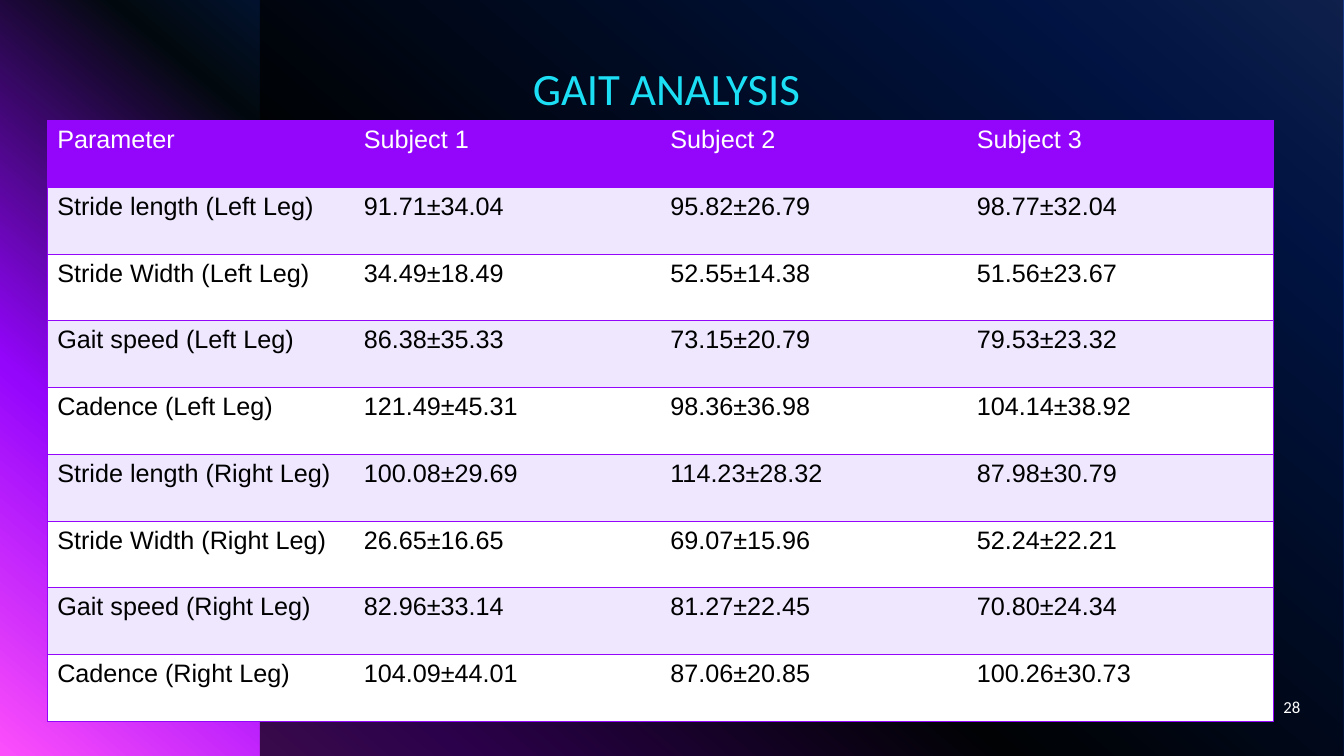
from lxml.etree import SubElement
from pptx import Presentation
from pptx.dml.color import RGBColor
from pptx.enum.shapes import MSO_SHAPE
from pptx.enum.text import MSO_ANCHOR, PP_ALIGN
from pptx.oxml import parse_xml
from pptx.oxml.ns import nsdecls, qn
from pptx.util import Cm, Pt

PURPLE, LILAC, WHITE, BLACK = "9405FC", "EEE7FE", "FFFFFF", "000000"
BACKGROUND_STOPS = [(0, "316CFC"), (14, "0343DF"), (55, "02090E"), (79, PURPLE), (100, "FC4EFB")]
GAIT_ROWS = [
    ("Parameter", "Subject 1", "Subject 2", "Subject 3"),
    ("Stride length (Left Leg)", "91.71±34.04", "95.82±26.79", "98.77±32.04"),
    ("Stride Width (Left Leg)", "34.49±18.49", "52.55±14.38", "51.56±23.67"),
    ("Gait speed (Left Leg)", "86.38±35.33", "73.15±20.79", "79.53±23.32"),
    ("Cadence (Left Leg)", "121.49±45.31", "98.36±36.98", "104.14±38.92"),
    ("Stride length (Right Leg)", "100.08±29.69", "114.23±28.32", "87.98±30.79"),
    ("Stride Width (Right Leg)", "26.65±16.65", "69.07±15.96", "52.24±22.21"),
    ("Gait speed (Right Leg)", "82.96±33.14", "81.27±22.45", "70.80±24.34"),
    ("Cadence (Right Leg)", "104.09±44.01", "87.06±20.85", "100.26±30.73"),
]


def rgb(value):
    return RGBColor.from_string(value)


def write(text_frame, text, size, font_name, color, alignment):
    paragraph = text_frame.paragraphs[0]
    paragraph.alignment = alignment
    run = paragraph.add_run()
    run.text = text
    run.font.size = Pt(size)
    run.font.name = font_name
    run.font.color.rgb = rgb(color)
    return paragraph


presentation = Presentation()
presentation.slide_width = Cm(33.87)
presentation.slide_height = Cm(19.05)
slide = presentation.slides.add_slide(presentation.slide_layouts[6])

background_fill = slide.background.fill
background_fill.gradient()
background_fill.gradient_angle = 230
stop_list = next(slide.element.iter(qn("a:gsLst")))
for stop in list(stop_list):
    stop_list.remove(stop)
for position, color in BACKGROUND_STOPS:
    stop = SubElement(stop_list, qn("a:gs"), pos=str(position * 1000))
    SubElement(stop, qn("a:srgbClr"), val=color)

veil = slide.shapes.add_shape(MSO_SHAPE.RECTANGLE, Cm(6.55), Cm(-0.02), Cm(27.31), Cm(19.08))
veil.shadow.inherit = False
veil.fill.solid()
veil.fill.fore_color.rgb = rgb(BLACK)
veil.line.fill.background()
veil_color = next(veil.element.spPr.iter(qn("a:srgbClr")))
SubElement(veil_color, qn("a:alpha"), val="70000")

title = slide.shapes.add_textbox(Cm(4.06), Cm(0.3), Cm(25.73), Cm(2.72))
title.text_frame.word_wrap = True
title.text_frame.vertical_anchor = MSO_ANCHOR.BOTTOM
title.text_frame.margin_left = 0
heading = write(title.text_frame, "GAIT ANALYSIS", 32, "Calibri", "1CDFF5", PP_ALIGN.CENTER)
heading.line_spacing = 0.9

column_count = len(GAIT_ROWS[0])
table_frame = slide.shapes.add_table(
    len(GAIT_ROWS), column_count, Cm(1.19), Cm(3.04), Cm(30.9), Cm(15.14))
table = table_frame.table
table.first_row = False
table.horz_banding = False
next(table_frame.element.iter(qn("a:tableStyleId"))).text = "{2D5ABB26-0587-4C30-8999-92F81FD0307C}"

for row_index, values in enumerate(GAIT_ROWS):
    row_fill = PURPLE if row_index == 0 else LILAC if row_index % 2 else WHITE
    for column_index, value in enumerate(values):
        cell = table.cell(row_index, column_index)
        cell.fill.solid()
        cell.fill.fore_color.rgb = rgb(row_fill)
        write(cell.text_frame, value, 18, "Arial", BLACK if row_index else WHITE, PP_ALIGN.JUSTIFY)
        sides = ["lnT", "lnB"]
        if column_index == column_count - 1:
            sides.insert(0, "lnR")
        if column_index == 0:
            sides.insert(0, "lnL")
        properties = cell._tc.get_or_add_tcPr()
        for order, side in enumerate(sides):
            properties.insert(order, parse_xml(
                f'<a:{side} {nsdecls("a")} w="12700"><a:solidFill>'
                f'<a:srgbClr val="{PURPLE}"/></a:solidFill></a:{side}>'))

page_number = slide.shapes.add_textbox(Cm(25.4), Cm(17.3), Cm(7.62), Cm(1.02))
page_number.text_frame.word_wrap = True
page_number.text_frame.vertical_anchor = MSO_ANCHOR.MIDDLE
write(page_number.text_frame, "28", 12, "Calibri", WHITE, PP_ALIGN.RIGHT)

presentation.save("out.pptx")
